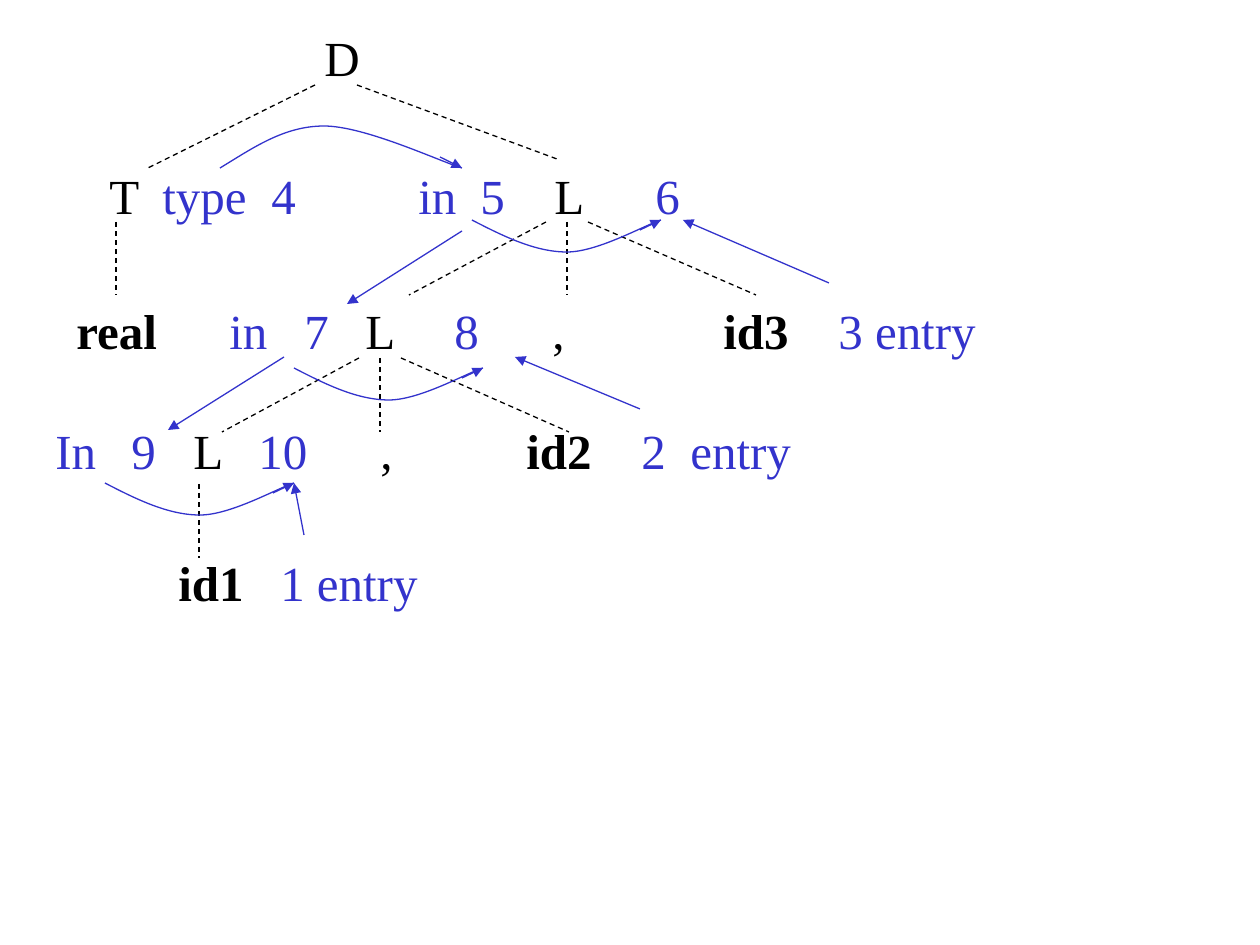
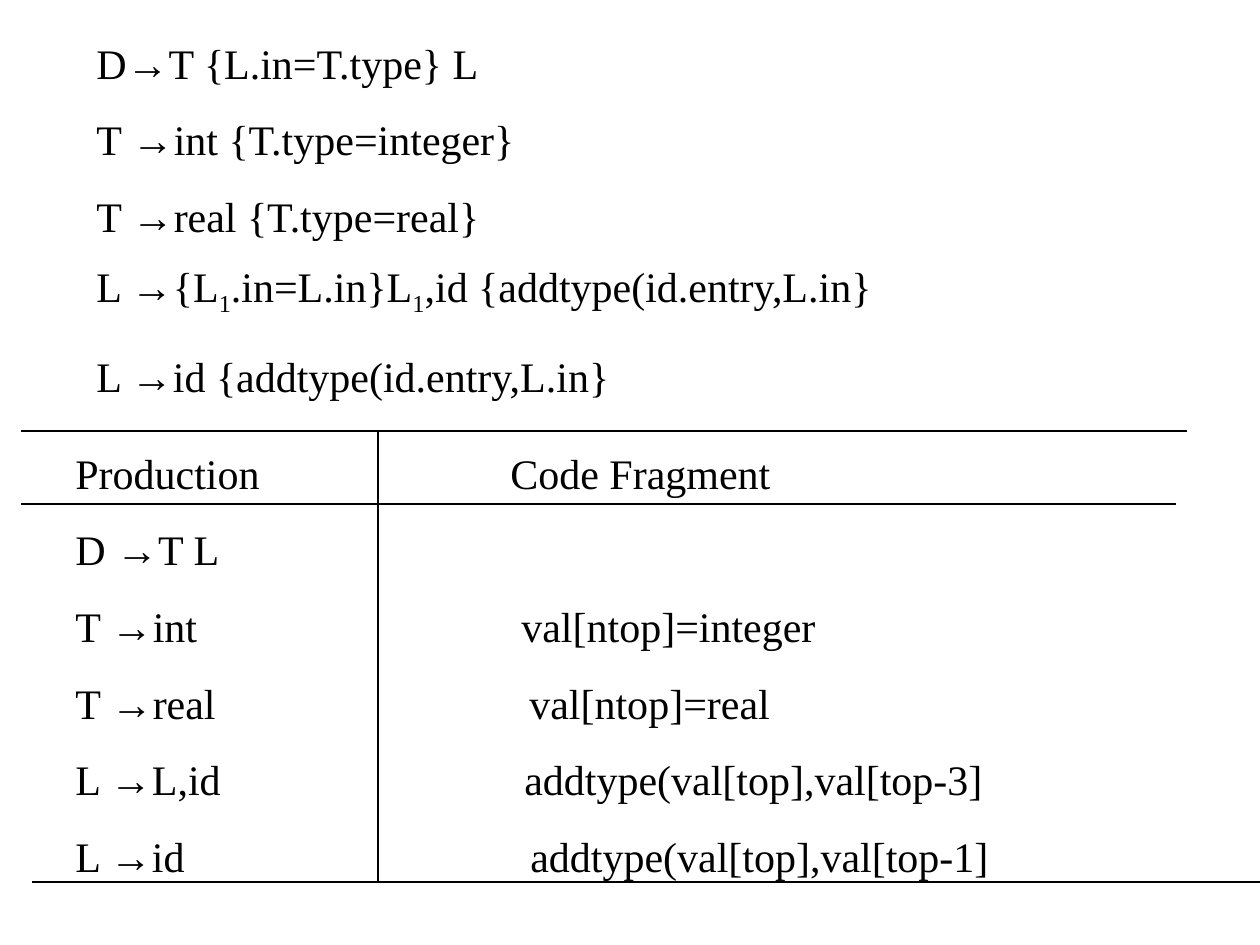
"""Builds two slides: an annotated parse tree and its translation scheme."""
from itertools import groupby

from lxml.etree import SubElement
from pptx import Presentation
from pptx.dml.color import RGBColor
from pptx.enum.dml import MSO_LINE
from pptx.enum.shapes import MSO_CONNECTOR as CONNECTOR
from pptx.oxml.ns import qn
from pptx.util import Emu, Pt

SCALE = 914400 / 126
COLOURS = {"symbol": "000000", "terminal": "000000", "attribute": "3333CC"}
FONT = "Times New Roman"
ARROW_FONT = "Arial"


def add_text(page, frame, size, lines, gap=0):
    """Add a box of lines; each line lists (x, text, kind), set at x by tab stops."""
    box = page.shapes.add_textbox(*[Emu(round(n * SCALE)) for n in frame])
    text_frame = box.text_frame
    text_frame.word_wrap = True
    for index, line in enumerate(lines):
        para = text_frame.add_paragraph() if index else text_frame.paragraphs[0]
        para.line_spacing = Pt(size * 1.2)
        para.space_before = Pt(gap if index else 0)
        if any("₁" in text for _, text, _ in line):
            para.space_after = Pt(4)
        if len(line) > 1:
            stops = SubElement(para._p.get_or_add_pPr(), qn("a:tabLst"))
        for column, (x, text, kind) in enumerate(line):
            if column:
                position = round((x - frame[0] - 13) * SCALE)
                SubElement(stops, qn("a:tab"), pos=str(position), algn="l")
                text = "\t" + text
            for mark, letters in groupby(text, lambda c: c if c in "→₁" else ""):
                span = para.add_run()
                span.text = "".join(letters).replace("₁", "1")
                span.font.size = Pt(size)
                span.font.name = ARROW_FONT if mark == "→" else FONT
                span.font.bold = kind == "terminal"
                span.font.color.rgb = RGBColor.from_string(COLOURS[kind])
                if mark == "₁":
                    span._r.get_or_add_rPr().set("baseline", "-25000")


def add_line(page, ends, kind, dashed=False, arrow=False):
    """Add a thin straight line, dashed or with an arrowhead at its end."""
    line = page.shapes.add_connector(
        CONNECTOR.STRAIGHT, *[Emu(round(n * SCALE)) for n in ends])
    line.line.color.rgb = RGBColor.from_string(COLOURS[kind])
    line.line.width = Pt(0.75)
    if dashed:
        line.line.dash_style = MSO_LINE.DASH
    if arrow:
        SubElement(line.line._get_or_add_ln(), qn("a:tailEnd"), type="triangle")
    SubElement(line._element.spPr, qn("a:effectLst"))


deck = Presentation()
deck.slide_width = Emu(round(1260 * SCALE))
deck.slide_height = Emu(round(945 * SCALE))
blank = deck.slide_layouts[6]

page = deck.slides.add_slide(blank)
tree_rows = [
    ((312, 21, 60, 72), [(325, "D", "symbol")]),
    ((97, 159, 963, 72), [
        (110, "T", "symbol"), (163, "type", "attribute"), (272, "4", "attribute"),
        (419, "in", "attribute"), (481, "5", "attribute"), (555, "L", "symbol"),
        (656, "6", "attribute")]),
    ((64, 294, 927, 72), [
        (77, "real", "terminal"), (230, "in", "attribute"), (305, "7", "attribute"),
        (366, "L", "symbol"), (455, "8", "attribute"), (553, ",", "symbol"),
        (724, "id3", "terminal"), (839, "3 entry", "attribute")]),
    ((43, 414, 762, 72), [
        (56, "In", "attribute"), (132, "9", "attribute"), (194, "L", "symbol"),
        (259, "10", "attribute"), (381, ",", "symbol"), (527, "id2", "terminal"),
        (642, "2", "attribute"), (691, "entry", "attribute")]),
    ((166, 546, 265, 72), [(179, "id1", "terminal"), (281, "1 entry", "attribute")]),
]
for frame, labels in tree_rows:
    add_text(page, frame, 28, [labels])

branches = [
    (315, 85, 148, 168), (357, 85, 557, 159),
    (116, 222, 116, 295), (567, 222, 567, 295),
    (546, 222, 409, 295), (588, 222, 756, 295),
    (380, 358, 380, 432), (359, 358, 222, 432), (401, 358, 569, 432),
    (199, 484, 199, 558),
]
for ends in branches:
    add_line(page, ends, "symbol", dashed=True)

arch = [(33, -20), (64, -42), (104, -42), (145, -42), (219, -7), (242, 0)]
sag = [(31, 16), (63, 32), (95, 32), (126, 32), (173, 5), (189, 0)]
curves = [
    (220, 168, arch, (220, -11)),
    (472, 220, sag, (168, 10)),
    (294, 368, sag, (168, 10)),
    (105, 483, sag, (168, 10)),
]
for x, y, bend, (head_x, head_y) in curves:
    outline = page.shapes.build_freeform(x, y, scale=SCALE)
    outline.add_line_segments([(x + dx, y + dy) for dx, dy in bend], close=False)
    curve = outline.convert_to_shape()
    curve.shadow.inherit = False
    curve.fill.background()
    curve.line.color.rgb = RGBColor.from_string(COLOURS["attribute"])
    curve.line.width = Pt(0.75)
    steps = list(curve._element.iter(qn("a:lnTo")))
    for first in range(0, len(steps), 3):
        bezier = SubElement(steps[0].getparent(), qn("a:cubicBezTo"))
        for step in steps[first:first + 3]:
            bezier.append(step[0])
    for step in steps:
        step.getparent().remove(step)
    end_x, end_y = bend[-1]
    add_line(page, (x + head_x, y + head_y, x + end_x, y + end_y),
             "attribute", arrow=True)

dependencies = [
    (462, 231, 347, 304), (284, 357, 168, 430), (304, 535, 294, 483),
    (640, 409, 515, 357), (829, 283, 683, 220),
]
for ends in dependencies:
    add_line(page, ends, "attribute", arrow=True)

page = deck.slides.add_slide(blank)
scheme = [
    "D→T {L.in=T.type} L",
    "T →int {T.type=integer}",
    "T →real {T.type=real}",
    "L →{L₁.in=L.in}L₁,id {addtype(id.entry,L.in}",
    "L →id {addtype(id.entry,L.in}",
]
add_text(page, (84, 31, 945, 377), 24, [[(97, rule, "symbol")] for rule in scheme], 15)

fragments = [
    ("Production", 511, "Code Fragment"),
    ("D →T L", 0, ""),
    ("T →int", 522, "val[ntop]=integer"),
    ("T →real", 530, "val[ntop]=real"),
    ("L →L,id", 525, "addtype(val[top],val[top-3]"),
    ("L →id", 531, "addtype(val[top],val[top-1]"),
]
code_lines = []
for production, x, code in fragments:
    line = [(76, production, "symbol")]
    if code:
        line.append((x, code, "symbol"))
    code_lines.append(line)
add_text(page, (63, 441, 1018, 446), 24, code_lines, 15)

rules = [
    (21, 431, 1187, 431), (21, 504, 1176, 504),
    (378, 431, 378, 882), (32, 882, 1260, 882),
]
for ends in rules:
    add_line(page, ends, "symbol")

deck.save("out.pptx")
